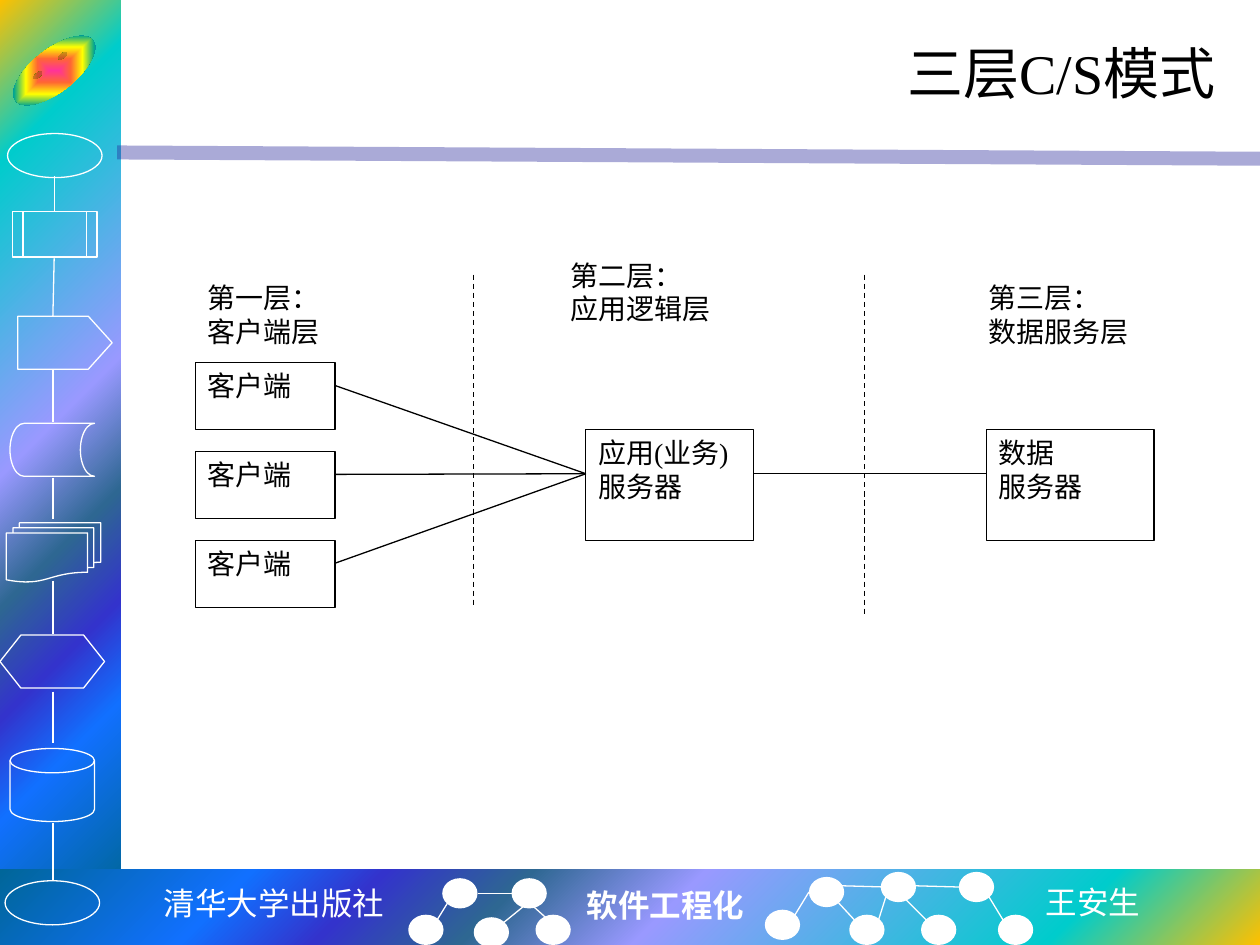
import pptx
import pptx.util
import pptx.oxml
import pptx.oxml.ns
from pptx.dml.color import RGBColor
from pptx.enum.dml import MSO_LINE
from pptx.enum.shapes import MSO_CONNECTOR, MSO_SHAPE
from pptx.enum.text import MSO_ANCHOR, MSO_AUTO_SIZE, PP_ALIGN

Inches, Pt = pptx.util.Inches, pptx.util.Pt

THEME = {
    "ink": "000000", "pale": "FFFFFF", "rule": "262699",
    "font": "Times New Roman", "mono": "Noto Sans Mono", "sans": "Noto Sans CJK SC",
    "title": 32, "foot": 18, "body": 16, "thin": 0.75, "thick": 8,
    "band": [(0, "FFC000"), (16, "00CCCC"), (47, "9999FF"), (60, "2E6792"),
             (71, "3333CC"), (81, "1170FF"), (100, "006699")],
    "badge": [(0, "FF3399"), (25, "FF6633"), (50, "FFFF00"), (75, "01A78F"), (100, "3366FF")],
}

# Content: diagram
TITLE = "三层C/S模式"
CLIENT = "客户端"
SERVERS = [(4.65, ["应用(业务)", "服务器"]), (7.83, ["数据", "服务器"])]
TIERS = [((1.55, 2.18, 1.11, 0.71), ["第一层：", "客户端层"]),
         ((4.43, 2.0, 1.33, 0.71), ["第二层：", "应用逻辑层"]),
         ((7.75, 2.18, 1.33, 0.71), ["第三层：", "数据服务层"])]
SPLITS = [(3.76, 4.82), (6.86, 4.9)]

# Content: frame
FOOT = [((1.19, 6.97, 1.97, 0.4), "清华大学出版社", "mono", False),
        ((4.56, 6.98, 1.46, 0.4), "软件工程化", "font", True),
        ((8.2, 6.96, 0.96, 0.4), "王安生", "sans", False)]
CHAIN = [(MSO_SHAPE.OVAL, (0.06, 1.06, 0.75, 0.35)),
         (MSO_SHAPE.FLOWCHART_PREDEFINED_PROCESS, (0.1, 1.68, 0.67, 0.36)),
         (MSO_SHAPE.PENTAGON, (0.14, 2.51, 0.75, 0.42)),
         (MSO_SHAPE.FLOWCHART_STORED_DATA, (0.08, 3.36, 0.67, 0.42)),
         (MSO_SHAPE.FLOWCHART_MULTIDOCUMENT, (0.05, 4.15, 0.75, 0.47)),
         (MSO_SHAPE.FLOWCHART_PREPARATION, (0, 5.04, 0.83, 0.42)),
         (MSO_SHAPE.FLOWCHART_MAGNETIC_DISK, (0.08, 5.94, 0.67, 0.58)),
         (MSO_SHAPE.OVAL, (0.04, 6.99, 0.75, 0.35))]
LINKS = [(0.43, 1.4, 0.43, 1.68), (0.43, 2.05, 0.42, 2.51), (0.42, 2.93, 0.42, 3.35),
         (0.42, 3.79, 0.42, 4.12), (0.42, 4.61, 0.42, 5.03), (0.42, 5.49, 0.42, 5.9),
         (0.42, 6.53, 0.42, 6.99)]
NODES = [(3.51, 6.97), (4.06, 6.97), (3.24, 7.26), (3.76, 7.28), (4.25, 7.26),
         (6.07, 7.22), (6.42, 6.96), (6.99, 6.92), (7.61, 6.92),
         (6.74, 7.26), (7.31, 7.26), (7.92, 7.26)]
EDGES = [(3.47, 7.3, 3.55, 7.17), (4, 7.32, 4.16, 7.19), (4.06, 7.09, 3.79, 7.09),
         (4.34, 7.29, 4.24, 7.2), (6.31, 7.26, 6.42, 7.08), (6.68, 7.03, 7.03, 7.04),
         (6.78, 7.3, 6.65, 7.16), (6.97, 7.31, 7.03, 7.12), (7.26, 7.03, 7.61, 7.04),
         (7.35, 7.3, 7.15, 7.1), (7.96, 7.3, 7.85, 7.12)]

deck = pptx.Presentation()
deck.slide_width, deck.slide_height = Inches(10), Inches(7.5)
slide = deck.slides.add_slide(deck.slide_layouts[5])
shapes = slide.shapes


def tint(name):
    return RGBColor.from_string(THEME[name])


def place(box):
    return [Inches(n) for n in box]


def blend(shape, stops, kind, focus):
    """Fill with a gradient that spreads from the focus (l, t, r, b in percent)."""
    steps = "".join(f'<a:gs pos="{at * 1000}"><a:srgbClr val="{hue}"/></a:gs>'
                    for at, hue in stops)
    sides = " ".join(f'{side}="{n * 1000}"' for side, n in zip("ltrb", focus))
    shape._element.spPr.append(pptx.oxml.parse_xml(
        f'<a:gradFill {pptx.oxml.ns.nsdecls("a")} rotWithShape="1"><a:gsLst>{steps}</a:gsLst>'
        f'<a:path path="{kind}"><a:fillToRect {sides}/></a:path></a:gradFill>'))


def draw(kind, box, line=None, fill=None, grad=None):
    shape = shapes.add_shape(kind, *place(box))
    if grad:
        blend(shape, *grad)
    elif fill:
        shape.fill.solid()
        shape.fill.fore_color.rgb = tint(fill)
    else:
        shape.fill.background()
    if line:
        shape.line.color.rgb = tint(line)
        shape.line.width = Pt(THEME["thin"])
    else:
        shape.line.fill.background()
    shape.shadow.inherit = False
    return shape


def join(ends, hue, width="thin", dash=False):
    line = shapes.add_connector(MSO_CONNECTOR.STRAIGHT, *place(ends))
    line.line.color.rgb = tint(hue)
    line.line.width = Pt(THEME[width])
    if dash:
        line.line.dash_style = MSO_LINE.DASH
    line._element.spPr.append(
        pptx.oxml.parse_xml(f'<a:effectLst {pptx.oxml.ns.nsdecls("a")}/>'))
    return line


def write(shape, lines, size="body", hue="ink", font="font", bold=False,
          align=PP_ALIGN.LEFT, anchor=MSO_ANCHOR.TOP, wrap=True):
    frame = shape.text_frame
    frame.word_wrap = wrap
    frame.vertical_anchor = anchor
    frame.text = "\n".join(lines)
    for para in frame.paragraphs:
        para.alignment = align
        para.font.name = THEME[font]
        para.font.size = Pt(THEME[size])
        para.font.color.rgb = tint(hue)
        para.font.bold = bold
    return frame


# Coloured bands and rule
draw(MSO_SHAPE.RECTANGLE, (0, 0, 0.96, 7.09), grad=(THEME["band"], "circle", (0, 0, 100, 100)))
draw(MSO_SHAPE.RECTANGLE, (0, 6.9, 10, 0.6), grad=(THEME["band"], "circle", (100, 100, 0, 0)))
rule = join((0.93, 1.21, 10, 1.26), "rule", "thick")
shade = rule._element.spPr.find(".//" + pptx.oxml.ns.qn("a:srgbClr"))
shade.append(pptx.oxml.parse_xml(f'<a:alpha {pptx.oxml.ns.nsdecls("a")} val="39000"/>'))

# Sidebar flow chart
badge = draw(MSO_SHAPE.SMILEY_FACE, (0.04, 0.39, 0.78, 0.34),
             grad=(THEME["badge"], "rect", (50, 50, 50, 50)))
badge.adjustments[0] = 0.05
badge.rotation = -38
for kind, box in CHAIN:
    symbol = draw(kind, box, line="pale")
    if kind == MSO_SHAPE.PENTAGON:
        symbol.adjustments[0] = 0.45

# Footer network
for x, y in NODES:
    draw(MSO_SHAPE.OVAL, (x, y, 0.28, 0.24), fill="pale")
for ends in LINKS + EDGES:
    join(ends, "pale")
for box, text, font, bold in FOOT:
    label = shapes.add_textbox(*place(box))
    align = PP_ALIGN.CENTER if font == "mono" else PP_ALIGN.LEFT
    frame = write(label, [text], "foot", "pale", font, bold, align, wrap=False)
    frame.auto_size = MSO_AUTO_SIZE.SHAPE_TO_FIT_TEXT

# Title
head = shapes.title
head.left, head.top, head.width, head.height = place((1.25, 0.17, 8.5, 0.81))
write(head, [TITLE], "title", align=PP_ALIGN.RIGHT, anchor=MSO_ANCHOR.MIDDLE)

# Tier labels and dividers
for box, lines in TIERS:
    write(shapes.add_textbox(*place(box)), lines)
for x, end in SPLITS:
    join((x, 2.18, x, end), "ink", dash=True)

# Clients and servers
hub = 3.76
for i in range(3):
    top = 2.88 + 0.705 * i
    write(draw(MSO_SHAPE.RECTANGLE, (1.55, top, 1.11, 0.53), line="ink"), [CLIENT])
    join((2.66, top + 0.18, SERVERS[0][0], hub), "ink")
for x, lines in SERVERS:
    write(draw(MSO_SHAPE.RECTANGLE, (x, 3.41, 1.33, 0.88), line="ink"), lines)
join((SERVERS[0][0] + 1.33, hub, SERVERS[1][0], hub), "ink")

deck.save("out.pptx")
